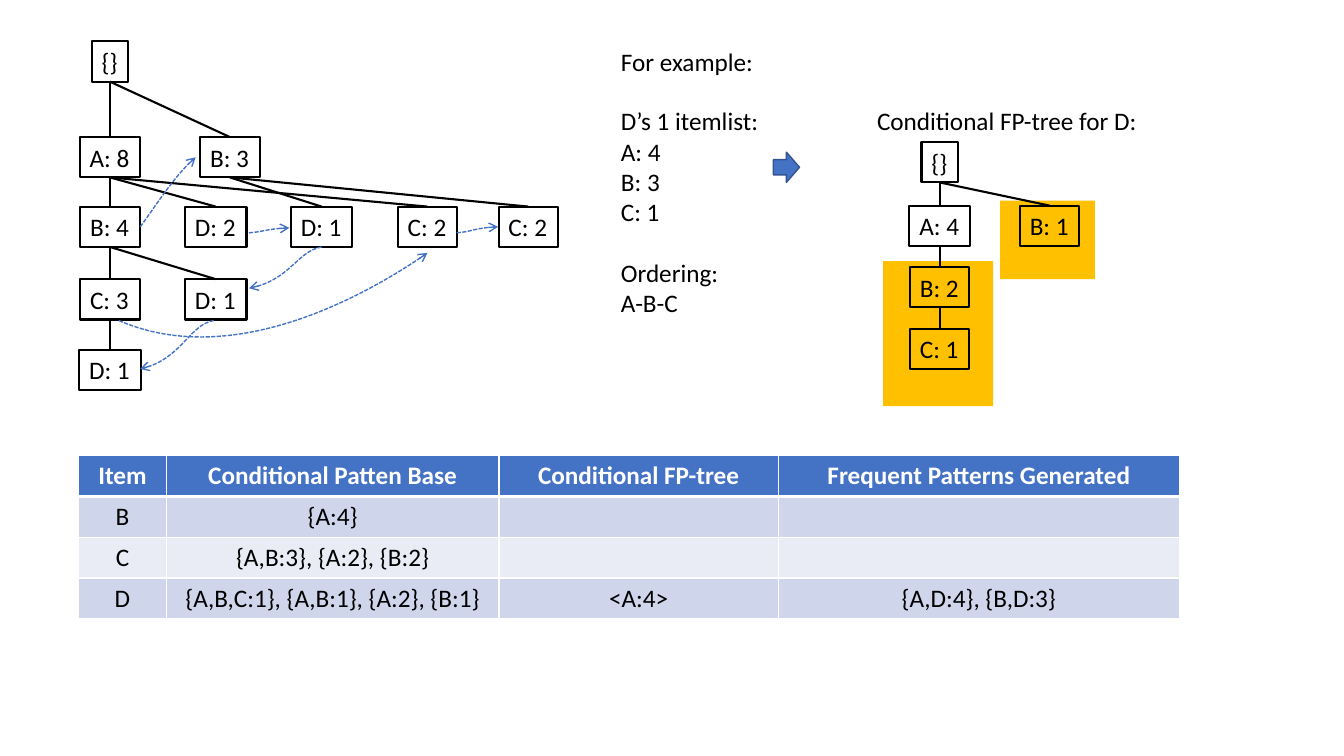
"""Build the FP-tree slide with its conditional tree and pattern table."""
from typing import NamedTuple

from lxml.etree import SubElement
from pptx import Presentation
from pptx.dml.color import RGBColor
from pptx.enum.dml import MSO_LINE
from pptx.enum.shapes import MSO_CONNECTOR, MSO_SHAPE
from pptx.enum.text import MSO_AUTO_SIZE, PP_ALIGN
from pptx.oxml.ns import qn
from pptx.util import Inches, Pt

BLACK, WHITE = RGBColor(0x00, 0x00, 0x00), RGBColor(0xFF, 0xFF, 0xFF)
BLUE, DARK_BLUE = RGBColor(0x44, 0x72, 0xC4), RGBColor(0x32, 0x54, 0x91)
GOLD = RGBColor(0xFF, 0xC0, 0x00)
BAND_DARK, BAND_LIGHT = RGBColor(0xCF, 0xD5, 0xEA), RGBColor(0xE9, 0xEB, 0xF5)
NODE_HEIGHT = 0.4
NODE_WIDTHS = {"{": 0.36, "A": 0.6, "B": 0.59, "C": 0.59, "D": 0.61}
CURVE_STEPS = 20
Point = tuple[float, float]


class Node(NamedTuple):
    label: str
    column: int
    row: int
    parent: int | None = None


class Tree(NamedTuple):
    columns: tuple[float, ...]
    rows: tuple[float, ...]
    nodes: tuple[Node, ...]


class Curve(NamedTuple):
    start: Point
    first_control: Point
    second_control: Point
    end: Point


class Note(NamedTuple):
    area: tuple[float, float, float, float]
    blocks: tuple[tuple[str, ...], ...]


FULL_TREE = Tree(
    (1.09, 2.14, 2.28, 3.19, 4.24, 5.24), (0.41, 1.36, 2.05, 2.77, 3.47),
    (Node("{}", 0, 0), Node("A: 8", 0, 1, 0), Node("B: 3", 2, 1, 0),
     Node("B: 4", 0, 2, 1), Node("D: 2", 1, 2, 1), Node("D: 1", 3, 2, 2),
     Node("C: 2", 4, 2, 1), Node("C: 2", 5, 2, 2), Node("C: 3", 0, 3, 3),
     Node("D: 1", 1, 3, 3), Node("D: 1", 0, 4, 8)))
CONDITIONAL_TREE = Tree(
    (9.32, 10.41), (1.41, 2.04, 2.65, 3.26),
    (Node("{}", 0, 0), Node("A: 4", 0, 1, 0), Node("B: 2", 0, 2, 1),
     Node("C: 1", 0, 3, 2), Node("B: 1", 1, 1, 0)))
ITEM_LINKS = (
    Curve((1.39, 2.25), (1.52, 2.08), (1.72, 1.75), (1.94, 1.56)),
    Curve((2.47, 2.31), (2.6, 2.3), (2.65, 2.27), (2.87, 2.26)),
    Curve((3.19, 2.45), (2.96, 2.49), (2.88, 2.78), (2.47, 2.86)),
    Curve((2.12, 3.18), (1.89, 3.22), (1.8, 3.57), (1.39, 3.66)),
    Curve((1.18, 3.18), (2.26, 3.65), (3.61, 2.95), (4.24, 2.51)),
    Curve((4.53, 2.31), (4.67, 2.3), (4.71, 2.26), (4.94, 2.25)))
HIGHLIGHTS = ((9.92, 1.99, 0.94, 0.78), (8.76, 2.59, 1.09, 1.44))
NOTES = (
    Note((6.06, 0.41, 1.74, 0.4), (("For example:",),)),
    Note((6.06, 1, 1.58, 2.22), (("D’s 1 itemlist:", "A: 4", "B: 3", "C: 1"),
                                 ("Ordering:", "A-B-C"))),
    Note((8.6, 1, 2.82, 0.4), (("Conditional FP-tree for D:",),)))
PATTERN_COLUMNS = (0.87, 3.3, 2.77, 3.98)
PATTERN_ROWS = (
    ("Item", "Conditional Patten Base", "Conditional FP-tree",
     "Frequent Patterns Generated"),
    ("B", "{A:4}", "", ""),
    ("C", "{A,B:3}, {A:2}, {B:2}", "", ""),
    ("D", "{A,B,C:1}, {A,B:1}, {A:2}, {B:1}", "<A:4>", "{A,D:4}, {B,D:3}"))


def add_span(para, text: str, color: RGBColor = BLACK, bold: bool = False) -> None:
    """Add one formatted run to a paragraph."""
    span = para.add_run()
    span.text = text
    span.font.name, span.font.size = "Calibri", Pt(18)
    span.font.color.rgb, span.font.bold = color, bold


def add_block(page, preset, area, fill=None, line=None, weight: float = 1):
    """Add a preset shape with the given fill and outline."""
    box = page.shapes.add_shape(preset, *map(Inches, area))
    box.shadow.inherit = False
    for paint, color in ((box.fill, fill), (box.line.fill, line)):
        if color is None:
            paint.background()
        else:
            paint.solid()
            paint.fore_color.rgb = color
    box.line.width = Pt(weight if line is not None else 0)
    return box


def add_node(page, tree: Tree, node: Node):
    """Add a labelled tree node centred on its column."""
    width = NODE_WIDTHS[node.label[0]]
    area = (tree.columns[node.column] - width / 2, tree.rows[node.row], width, NODE_HEIGHT)
    box = add_block(page, MSO_SHAPE.RECTANGLE, area, line=BLACK, weight=1.5)
    frame = box.text_frame
    frame.word_wrap, frame.auto_size = False, MSO_AUTO_SIZE.SHAPE_TO_FIT_TEXT
    frame.paragraphs[0].alignment = PP_ALIGN.LEFT
    add_span(frame.paragraphs[0], node.label)
    return box


def add_tree(page, tree: Tree) -> None:
    """Add every node and join each one to its parent."""
    boxes = [add_node(page, tree, node) for node in tree.nodes]
    for node, box in zip(tree.nodes, boxes):
        if node.parent is not None:
            edge = page.shapes.add_connector(MSO_CONNECTOR.STRAIGHT, 0, 0, 0, 0)
            edge.begin_connect(boxes[node.parent], 2)
            edge.end_connect(box, 0)
            edge.line.color.rgb, edge.line.width = BLACK, Pt(1.5)
            SubElement(edge._element.spPr, qn("a:effectLst"))


def curve_point(curve: Curve, share: float) -> tuple[int, int]:
    """Return the point at a share of a cubic curve, in slide units."""
    rest = 1 - share
    weights = (rest**3, 3 * rest**2 * share, 3 * rest * share**2, share**3)
    return tuple(Inches(sum(weight * point[axis] for weight, point in zip(weights, curve)))
                 for axis in (0, 1))


def add_item_link(page, curve: Curve) -> None:
    """Add a dashed cubic curve ending in an arrowhead."""
    trace = [curve_point(curve, step / CURVE_STEPS) for step in range(CURVE_STEPS + 1)]
    builder = page.shapes.build_freeform(*trace[0])
    builder.add_line_segments(trace[1:], close=False)
    link = builder.convert_to_shape()
    link.shadow.inherit = False
    link.fill.background()
    link.line.color.rgb, link.line.width = BLUE, Pt(1)
    link.line.dash_style = MSO_LINE.SQUARE_DOT
    SubElement(link._element.spPr.find(qn("a:ln")), qn("a:tailEnd"), type="arrow")
    outline = link._element.spPr.find(".//" + qn("a:path"))
    for part in list(outline):
        outline.remove(part)
    for tag, points in (("a:moveTo", curve[:1]), ("a:cubicBezTo", curve[1:])):
        part = SubElement(outline, qn(tag))
        for across, down in points:
            SubElement(part, qn("a:pt"), x=str(Inches(across) - link.left),
                       y=str(Inches(down) - link.top))


def add_note(page, note: Note) -> None:
    """Add a text box whose blocks are one line apart."""
    frame = page.shapes.add_textbox(*map(Inches, note.area)).text_frame
    frame.word_wrap = True
    para = frame.paragraphs[0]
    for block in note.blocks:
        for text in block:
            if para.runs:
                para = frame.add_paragraph()
                para.space_before = Pt(22 if text == block[0] else 0)
            add_span(para, text)


def add_pattern_table(page) -> None:
    """Add the table of conditional pattern bases."""
    table = page.shapes.add_table(
        len(PATTERN_ROWS), len(PATTERN_COLUMNS), Inches(0.78), Inches(4.52),
        Inches(sum(PATTERN_COLUMNS)), Inches(1.62)).table
    for column, width in zip(table.columns, PATTERN_COLUMNS):
        column.width = Inches(width)
    for row, texts in enumerate(PATTERN_ROWS):
        band = BLUE if row == 0 else BAND_DARK if row % 2 else BAND_LIGHT
        for column, text in enumerate(texts):
            cell = table.cell(row, column)
            if row == 0:
                border = SubElement(cell._tc.get_or_add_tcPr(), qn("a:lnB"), w=str(Pt(3)))
                SubElement(SubElement(border, qn("a:solidFill")), qn("a:srgbClr"), val=str(WHITE))
            cell.fill.solid()
            cell.fill.fore_color.rgb = band
            para = cell.text_frame.paragraphs[0]
            para.alignment = PP_ALIGN.CENTER
            if text:
                add_span(para, text, BLACK if row else WHITE, row == 0)


deck = Presentation()
deck.slide_width, deck.slide_height = Inches(13.33), Inches(7.5)
page = deck.slides.add_slide(deck.slide_layouts[6])
for highlight in HIGHLIGHTS:
    add_block(page, MSO_SHAPE.RECTANGLE, highlight, GOLD)
for note in NOTES:
    add_note(page, note)
add_block(page, MSO_SHAPE.RIGHT_ARROW, (7.67, 1.51, 0.26, 0.3), BLUE, DARK_BLUE)
for tree in (CONDITIONAL_TREE, FULL_TREE):
    add_tree(page, tree)
for curve in ITEM_LINKS:
    add_item_link(page, curve)
add_pattern_table(page)
deck.save("out.pptx")
